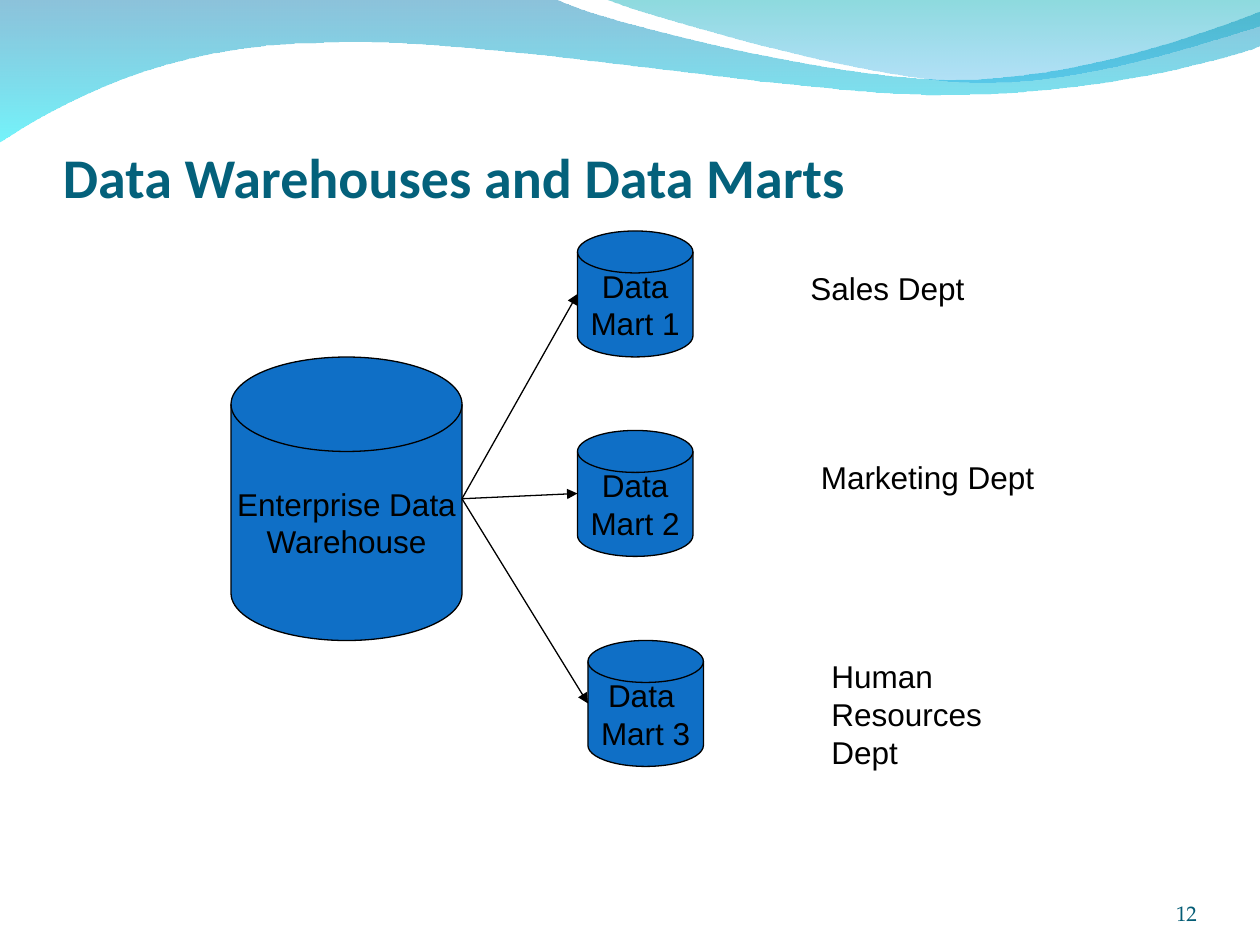
from lxml.etree import SubElement
from pptx import Presentation
from pptx.dml.color import RGBColor
from pptx.enum.shapes import MSO_CONNECTOR, MSO_SHAPE
from pptx.enum.text import MSO_ANCHOR as Anchor, MSO_AUTO_SIZE as AutoSize, PP_ALIGN as Align
from pptx.oxml.ns import qn
from pptx.util import Inches, Pt

COLORS = {
    "background": "FFFFFF", "ink": "000000", "disk": "0F6FC6",
    "title": "04617B", "number": "045C75",
    "wave_top": "0079AF", "wave_bottom": "00EBF8",
    "crest_top": "00ADB6", "crest_bottom": "009BE5",
}
CELL = Inches(1) // 12  # the slide is a grid of 120 columns by 90 rows


def rgb(name):
    return RGBColor.from_string(COLORS[name])


def write(shape, text, size=18, font="Arial", color="ink", bold=False, align=Align.LEFT,
          anchor=Anchor.TOP, wrap=True, grow=False, insets=(0.1, 0.05, 0.1, 0.05)):
    frame = shape.text_frame
    frame.word_wrap = wrap
    frame.auto_size = AutoSize.SHAPE_TO_FIT_TEXT if grow else AutoSize.NONE
    frame.vertical_anchor = anchor
    (frame.margin_left, frame.margin_top,
     frame.margin_right, frame.margin_bottom) = map(Inches, insets)
    frame.text = text
    for paragraph in frame.paragraphs:
        paragraph.alignment = align
        paragraph.font.size, paragraph.font.name = Pt(size), font
        paragraph.font.bold = bold
        paragraph.font.color.rgb = rgb(color)


def bend(shape, segments):
    """Turn each run of three line points into one cubic curve."""
    lines = iter(list(shape._element.iter(qn("a:lnTo"))))
    for segment in segments:
        group = [next(lines) for _ in segment]
        if len(group) == 3:
            outline = group[0].getparent()
            curve = SubElement(outline, qn("a:cubicBezTo"))
            outline.replace(group[0], curve)
            for line in group:
                curve.append(line[0])
            for line in group[1:]:
                outline.remove(line)


class SlideBuilder:
    def __init__(self, presentation):
        self.slide = presentation.slides.add_slide(presentation.slide_layouts[6])
        self.shapes = self.slide.shapes
        fill = self.slide.background.fill
        fill.solid()
        fill.fore_color.rgb = rgb("background")

    def wave(self, start, segments, stops):
        """Outline of lines (one point) and curves (three points), in inches."""
        builder = self.shapes.build_freeform(*map(Inches, start))
        builder.add_line_segments([(Inches(x), Inches(y)) for segment in segments
                                   for x, y in segment], close=True)
        shape = builder.convert_to_shape()
        bend(shape, segments)
        shape.shadow.inherit = False
        shape.line.fill.background()
        shape.fill.gradient()
        shape.fill.gradient_angle = 270
        for stop, (color, _) in zip(shape.fill.gradient_stops, stops):
            stop.color.rgb = rgb(color)
        for element, (_, opacity) in zip(shape._element.iter(qn("a:srgbClr")), stops):
            SubElement(element, qn("a:alpha"), val=str(opacity * 1000))

    def text(self, text, column, row, columns, rows, **style):
        box = self.shapes.add_textbox(*(round(n * CELL) for n in (column, row, columns, rows)))
        write(box, text, **style)

    def disk(self, text, column, row, columns, rows):
        shape = self.shapes.add_shape(MSO_SHAPE.FLOWCHART_MAGNETIC_DISK,
                                      *(n * CELL for n in (column, row, columns, rows)))
        shape.shadow.inherit = False
        shape.fill.solid()
        shape.fill.fore_color.rgb = rgb("disk")
        shape.line.color.rgb = rgb("ink")
        shape.line.width = Pt(0.75)
        write(shape, text, align=Align.CENTER, anchor=Anchor.MIDDLE, wrap=False)
        return shape

    def arrow(self, source, target):
        """Arrow from the right side of one disk to the left side of another."""
        connector = self.shapes.add_connector(
            MSO_CONNECTOR.STRAIGHT,
            source.left + source.width, source.top + source.height // 2,
            target.left, target.top + target.height // 2)
        connector.line.color.rgb = rgb("ink")
        connector.line.width = Pt(0.75)
        SubElement(connector.line._get_or_add_ln(), qn("a:tailEnd"), type="triangle")
        SubElement(connector._element.spPr, qn("a:effectLst"))


def main():
    presentation = Presentation()
    presentation.slide_width, presentation.slide_height = 120 * CELL, 90 * CELL
    builder = SlideBuilder(presentation)

    # Waves along the top
    builder.wave((0, -0.01), [
        [(4.4, -0.01)],
        [(4.76, 0.17), (6.64, 0.63), (7.58, 0.63)],
        [(8.53, 0.63), (9.58, 0.26), (10, 0.09)],
        [(10.01, 0.36)],
        [(9.83, 0.44), (8.7, 0.76), (7.46, 0.75)],
        [(6.22, 0.75), (3.82, 0.28), (2.57, 0.34)],
        [(1.29, 0.35), (0.46, 0.83), (-0.01, 1.13)],
        [(0, -0.01)],
    ], [("wave_top", 45), ("wave_bottom", 55)])
    builder.wave((4.79, -0.01), [
        [(5.09, 0.11), (6.82, 0.62), (7.69, 0.65)],
        [(8.56, 0.69), (9.61, 0.32), (10, 0.21)],
        [(10, 0)],
        [(4.79, -0.01)],
    ], [("crest_top", 45), ("crest_bottom", 30)])

    # Title
    builder.text("Data Warehouses and Data Marts", 6, 9.2, 108, 10.8, size=32,
                 font="Calibri", color="title", bold=True, anchor=Anchor.BOTTOM,
                 insets=(0, 0.05, 0, 0))

    # Warehouse and its data marts
    warehouse = builder.disk("Enterprise Data\nWarehouse", 22, 34, 22, 27)
    marts = [builder.disk(text, column, row, 11, 12) for text, column, row in (
        ("Data\nMart 1", 55, 22), ("Data\nMart 2", 55, 41), ("Data \nMart 3", 56, 61))]

    # Departments
    for text, column, row, columns, rows in (
            ("Sales Dept", 76, 25, 22, 4.8),
            ("Human Resources Dept", 78, 62, 22, 12),
            ("Marketing Dept", 77, 43, 25, 4.8)):
        builder.text(text, column, row, columns, rows, grow=True)

    # Arrows
    for mart in marts:
        builder.arrow(warehouse, mart)

    # Slide number
    builder.text("12", 104, 83.4, 10, 4.8, size=12, font="TeX Gyre Pagella", color="number",
                 align=Align.RIGHT, anchor=Anchor.BOTTOM, insets=(0, 0, 0, 0))

    presentation.save("out.pptx")


if __name__ == "__main__":
    main()
